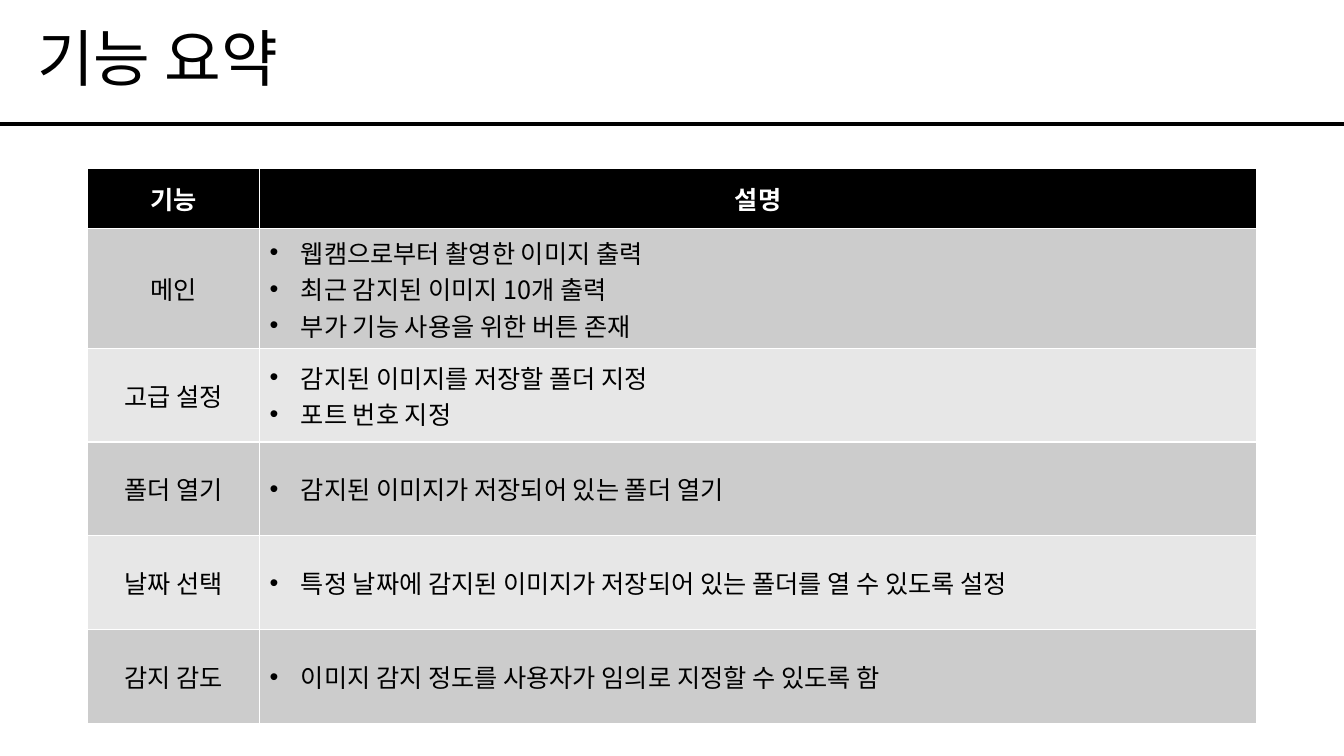
from lxml.etree import SubElement
from pptx import Presentation
from pptx.dml.color import RGBColor as RGB
from pptx.enum.shapes import MSO_CONNECTOR as CONN
from pptx.enum.text import MSO_ANCHOR as ANCHOR, PP_ALIGN as ALIGN
from pptx.oxml.ns import qn
from pptx.util import Inches, Pt

THEME = {
    "font": "Noto Sans CJK KR",
    "title": 44, "body": 18,
    "ink": RGB(0, 0, 0), "paper": RGB(255, 255, 255),
    "bands": [RGB(0xCC, 0xCC, 0xCC), RGB(0xE7, 0xE7, 0xE7)],
}
HEADER = ("기능", ["설명"])
FEATURES = [
    ("메인", ["웹캠으로부터 촬영한 이미지 출력",
            "최근 감지된 이미지 10개 출력",
            "부가 기능 사용을 위한 버튼 존재"]),
    ("고급 설정", ["감지된 이미지를 저장할 폴더 지정", "포트 번호 지정"]),
    ("폴더 열기", ["감지된 이미지가 저장되어 있는 폴더 열기"]),
    ("날짜 선택", ["특정 날짜에 감지된 이미지가 저장되어 있는 폴더를 열 수 있도록 설정"]),
    ("감지 감도", ["이미지 감지 정도를 사용자가 임의로 지정할 수 있도록 함"]),
]


def write(p, text, size, color, bold=False):
    r = p.add_run()
    r.text = text
    for name, value in {"name": THEME["font"], "size": Pt(size), "bold": bold}.items():
        setattr(r.font, name, value)
    r.font.color.rgb = color
    SubElement(r.font._element, qn("a:ea"), typeface=THEME["font"])


def bullet(p):
    pPr = p._p.get_or_add_pPr()
    pPr.set("marL", str(Inches(0.31)))
    pPr.set("indent", str(-Inches(0.31)))
    SubElement(pPr, qn("a:buFont"), typeface="Arial")
    SubElement(pPr, qn("a:buChar"), char="•")


prs = Presentation()
prs.slide_width, prs.slide_height = Inches(13.33), Inches(7.5)
W = prs.slide_width
s = prs.slides.add_slide(prs.slide_layouts[5])
band_h = Inches(1.23)

# Title band
title = s.shapes.title
for name, value in {"left": 0, "top": 0, "width": W, "height": band_h}.items():
    setattr(title, name, value)
tf = title.text_frame
for name, value in {"vertical_anchor": ANCHOR.MIDDLE, "margin_left": Inches(0.37),
                    "word_wrap": True}.items():
    setattr(tf, name, value)
p = tf.paragraphs[0]
p.alignment, p.line_spacing = ALIGN.LEFT, 0.9
write(p, "기능 요약", THEME["title"], THEME["ink"])

# Rule under the title
rule = s.shapes.add_connector(CONN.STRAIGHT, 0, band_h, W, band_h)
rule.line.color.rgb, rule.line.width = THEME["ink"], Pt(2.25)
SubElement(rule._element.spPr, qn("a:effectLst"))

# Feature table: the default style draws the white grid
cols = [Inches(1.71), Inches(9.89)]
rows = [Inches(0.6)] + [Inches(0.93)] * len(FEATURES)
table = s.shapes.add_table(len(rows), len(cols), (W - sum(cols)) // 2, Inches(1.67),
                           sum(cols), sum(rows)).table
for col, width in zip(table.columns, cols):
    col.width = width
for row, height in zip(table.rows, rows):
    row.height = height

for i, (feature, points) in enumerate([HEADER] + FEATURES):
    head = i == 0
    fill = THEME["ink"] if head else THEME["bands"][(i - 1) % 2]
    color = THEME["paper"] if head else THEME["ink"]
    for j, lines in enumerate([[feature], points]):
        cell = table.cell(i, j)
        cell.vertical_anchor = ANCHOR.MIDDLE
        cell.fill.solid()
        cell.fill.fore_color.rgb = fill
        tf = cell.text_frame
        for k, line in enumerate(lines):
            p = tf.add_paragraph() if k else tf.paragraphs[0]
            if head or j == 0:
                p.alignment = ALIGN.CENTER
            else:
                bullet(p)
            write(p, line, THEME["body"], color, head)

prs.save("out.pptx")
